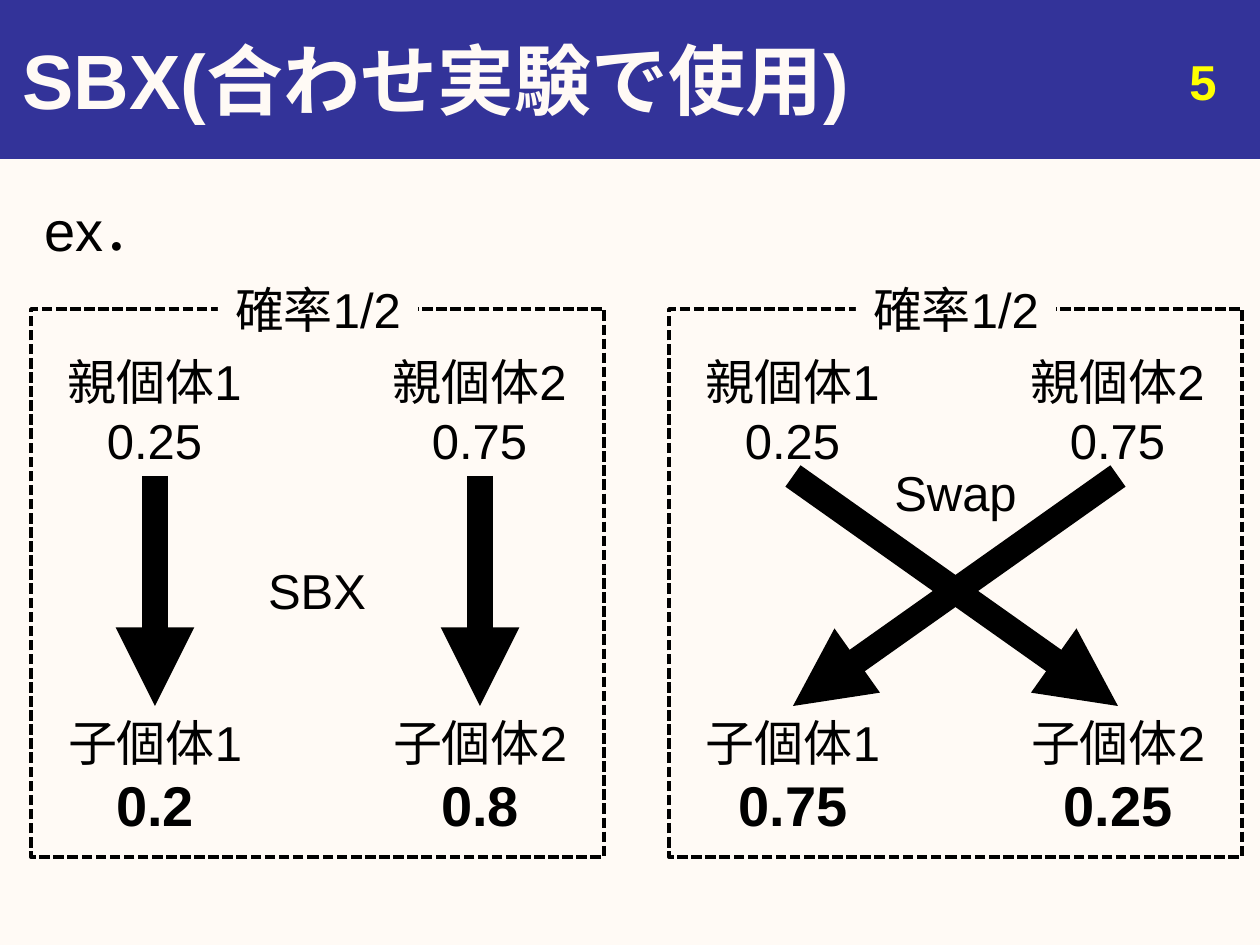
from lxml import etree
from pptx import Presentation
from pptx.dml.color import RGBColor
from pptx.enum.dml import MSO_LINE
from pptx.enum.shapes import MSO_CONNECTOR, MSO_SHAPE
from pptx.enum.text import MSO_ANCHOR, PP_ALIGN
from pptx.oxml.ns import qn
from pptx.util import Emu, Pt

SCALE = 914400 / 126
RECT = MSO_SHAPE.RECTANGLE
LINE = MSO_CONNECTOR.STRAIGHT
DASH = MSO_LINE.SQUARE_DOT
TOP, MID = MSO_ANCHOR.TOP, MSO_ANCHOR.MIDDLE
LEFT, MIDDLE, RIGHT = PP_ALIGN.LEFT, PP_ALIGN.CENTER, PP_ALIGN.RIGHT
FONT = "Arial"
COLORS = {"paper": "FFFAF5", "band": "333399", "ink": "000000", "page": "FFFF00"}


def px(*nums):
    return [Emu(round(n * SCALE)) for n in nums]


def color(name):
    return RGBColor.from_string(COLORS[name])


class Deck:
    """Holds the slide and the style of its elements."""

    def __init__(self):
        self.prs = Presentation()
        self.prs.slide_width, self.prs.slide_height = px(1260, 945)
        self.slide = self.prs.slides.add_slide(self.prs.slide_layouts[5])
        self.shapes = self.slide.shapes
        fill = self.slide.background.fill
        fill.solid()
        fill.fore_color.rgb = color("paper")

    def label(self, shape, lines, align=MIDDLE, anchor=TOP, ink="ink"):
        frame = shape.text_frame
        frame.word_wrap = True
        frame.vertical_anchor = anchor
        frame.text = "\n".join(text for text, size, bold in lines)
        for para, (text, size, bold) in zip(frame.paragraphs, lines):
            para.alignment = align
            for run in para.runs:
                font = run.font
                font.name, font.size, font.bold = FONT, Pt(size), bold
                font.color.rgb = color(ink)

    def title(self, text, box):
        title = self.shapes.title
        title.left, title.top, title.width, title.height = px(*box)
        self.label(title, [(text, 44, True)], LEFT, MID, "paper")

    def text(self, box, lines, align=MIDDLE, ink="ink"):
        self.label(self.shapes.add_textbox(*px(*box)), lines, align, TOP, ink)

    def rect(self, box, fill=None, line=None, width=0.75, dash=None):
        shape = self.shapes.add_shape(RECT, *px(*box))
        shape.shadow.inherit = False
        if fill:
            shape.fill.solid()
            shape.fill.fore_color.rgb = color(fill)
        else:
            shape.fill.background()
        if line:
            shape.line.color.rgb = color(line)
            shape.line.width = Pt(width)
            shape.line.dash_style = dash
        else:
            shape.line.fill.background()
        return shape

    def arrow(self, x1, y1, x2, y2):
        arrow = self.shapes.add_connector(LINE, *px(x1, y1, x2, y2))
        arrow.line.color.rgb = color("ink")
        arrow.line.width = Pt(15)
        props = arrow.element.spPr
        etree.SubElement(props.find(qn("a:ln")), qn("a:tailEnd"), type="triangle")
        etree.SubElement(props, qn("a:effectLst"))

    def case(self, left, kids, ends, name, box):
        mids = [left + 124, left + 449]
        for num, (mid, old, kid, end) in enumerate(
                zip(mids, ("0.25", "0.75"), kids, ends), 1):
            self.text((mid - 124, 345, 247, 131),
                      [(f"親個体{num}", 28, False), (old, 28, False)])
            self.text((mid - 136, 706, 272, 140),
                      [(f"子個体{num}", 28, False), (kid, 32, True)])
            self.arrow(mid, 476, mids[end], 706)
        x, y, wide, high = box
        self.text((left + x, y, wide, high), [(name, 28, False)])
        self.rect((left, 309, 573, 548), line="ink", width=2, dash=DASH)
        odds = self.rect((left + 187, 273, 200, 72), fill="paper")
        self.label(odds, [("確率1/2", 28, False)])


deck = Deck()
band = deck.rect((0, 0, 1260, 158), "band", "band")
deck.shapes.title.element.addprevious(band.element)
deck.title("SBX(合わせ実験で使用)", (10, 0, 1250, 158))
deck.text((32, 189, 1197, 714), [("ex．", 32, False)], LEFT)
deck.text((935, 45, 294, 66), [("5", 28, True)], RIGHT, "page")
deck.case(31, ("0.2", "0.8"), (0, 1), "SBX", (218, 554, 136, 72))
deck.case(669, ("0.75", "0.25"), (1, 0), "Swap", (204, 456, 165, 131))
deck.prs.save("out.pptx")
